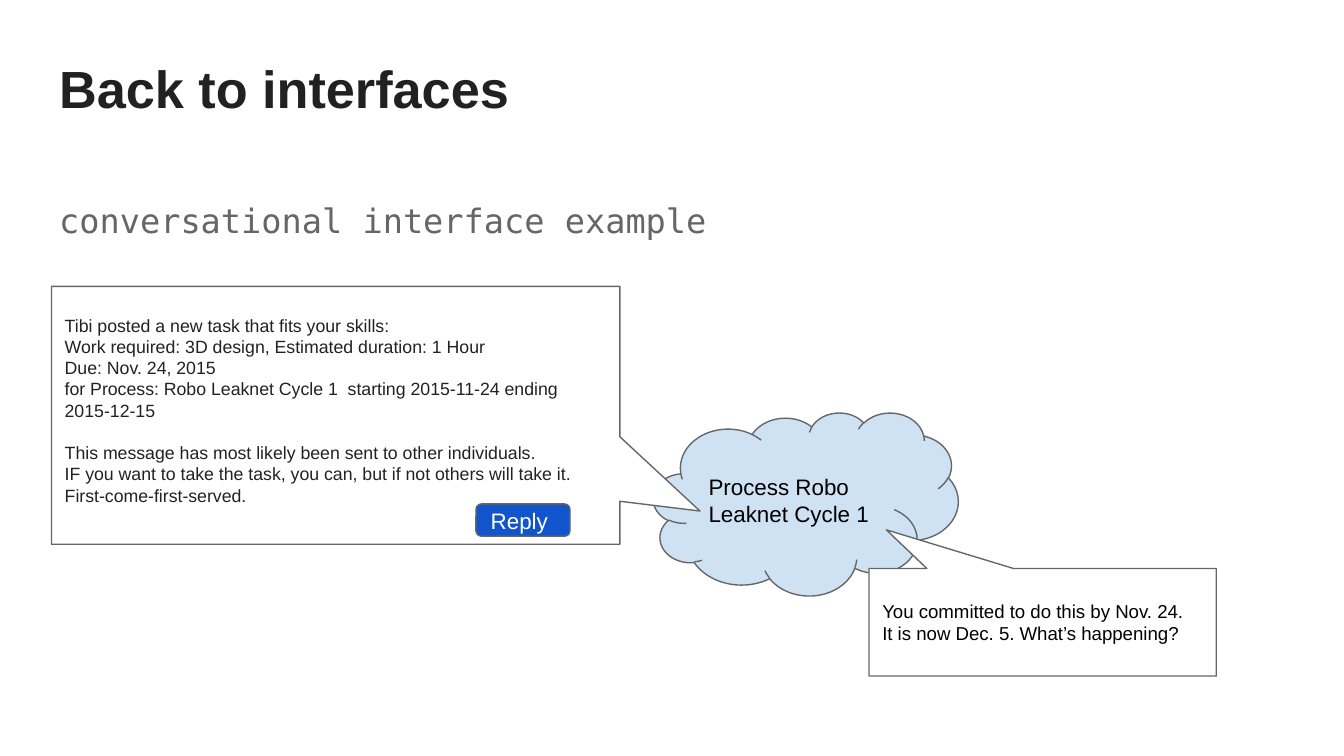
from pptx import Presentation
from pptx.dml.color import RGBColor
from pptx.enum.shapes import MSO_SHAPE
from pptx.enum.text import MSO_ANCHOR, MSO_AUTO_SIZE, PP_ALIGN
from pptx.oxml.ns import qn
from pptx.util import Pt

WHITE = RGBColor(0xFF, 0xFF, 0xFF)
BLACK = RGBColor(0x00, 0x00, 0x00)
TITLE_INK = RGBColor(0x21, 0x21, 0x21)
MESSAGE_INK = RGBColor(0x22, 0x22, 0x22)
GRAY = RGBColor(0x66, 0x66, 0x66)
CLOUD_BLUE = RGBColor(0xCF, 0xE2, 0xF3)
BUTTON_BLUE = RGBColor(0x11, 0x55, 0xCC)

INSET = 7.2
FRAME = {
    "word_wrap": True,
    "auto_size": MSO_AUTO_SIZE.NONE,
    "margin_left": Pt(INSET),
    "margin_right": Pt(INSET),
    "margin_top": Pt(INSET),
    "margin_bottom": Pt(INSET),
}
PARAGRAPH = {"alignment": PP_ALIGN.LEFT, "space_before": Pt(0), "space_after": Pt(0)}

TASK_LINES = [
    "Tibi posted a new task that fits your skills:",
    "Work required: 3D design, Estimated duration: 1 Hour",
    "Due: Nov. 24, 2015",
    "for Process: Robo Leaknet Cycle 1  starting 2015-11-24 ending 2015-12-15",
    "This message has most likely been sent to other individuals.",
    "IF you want to take the task, you can, but if not others will take it.",
    "First-come-first-served.",
]
SECOND_PART = 4
REMINDER_LINES = [
    "You committed to do this by Nov. 24.",
    "It is now Dec. 5. What’s happening?",
]


def apply_format(target, values):
    for name, value in values.items():
        setattr(target, name, value)


def write_lines(box, lines, size, color, anchor, font="Arial", bold=False):
    frame = box.text_frame
    apply_format(frame, {**FRAME, "vertical_anchor": anchor})
    for index, line in enumerate(lines):
        para = frame.paragraphs[0] if index == 0 else frame.add_paragraph()
        apply_format(para, PARAGRAPH)
        span = para.add_run()
        span.text = line
        apply_format(span.font, {"name": font, "size": Pt(size), "bold": bold})
        span.font.color.rgb = color
    return frame


def place(box, left, top, width, height):
    apply_format(box, {"left": Pt(left), "top": Pt(top),
                       "width": Pt(width), "height": Pt(height)})


def fill_placeholder(box, bounds, text, size, color, **font):
    place(box, *bounds)
    para = write_lines(box, [text], size, color, MSO_ANCHOR.TOP, **font).paragraphs[0]
    return para


def remove_bullet(para):
    properties = para._p.get_or_add_pPr()
    properties.set("marL", "0")
    properties.set("indent", "0")
    properties.append(properties.makeelement(qn("a:buNone"), {}))


def add_box(page, kind, bounds, fill, lines, size, color,
            adjustments=(), anchor=MSO_ANCHOR.MIDDLE):
    box = page.shapes.add_shape(kind, *(Pt(length) for length in bounds))
    box.shadow.inherit = False
    box.fill.solid()
    box.fill.fore_color.rgb = fill
    box.line.color.rgb = GRAY
    box.line.width = Pt(0.75)
    for index, value in enumerate(adjustments):
        box.adjustments[index] = value
    return write_lines(box, lines, size, color, anchor)


def main():
    deck = Presentation()
    apply_format(deck, {"slide_width": Pt(720), "slide_height": Pt(405)})
    page = deck.slides.add_slide(deck.slide_layouts[1])

    fill_placeholder(page.shapes.title, (24.5, 23, 671, 63.4),
                     "Back to interfaces", 28, TITLE_INK, bold=True)
    subtitle = fill_placeholder(page.placeholders[1], (24.5, 96.5, 671, 262.8),
                                "conversational interface example", 18, GRAY,
                                font="DejaVu Sans Mono")
    remove_bullet(subtitle)
    subtitle.line_spacing = 1.15

    add_box(page, MSO_SHAPE.CLOUD, (350, 221, 163.4, 98), CLOUD_BLUE,
            ["Process Robo Leaknet Cycle 1"], 12, BLACK)
    task = add_box(page, MSO_SHAPE.ROUNDED_RECTANGULAR_CALLOUT,
                   (27.6, 153.4, 304.5, 138.2), WHITE, TASK_LINES, 9.5, MESSAGE_INK,
                   (0.641, 0.371, 0), MSO_ANCHOR.TOP)
    task.margin_top = Pt(15)
    task.paragraphs[SECOND_PART].space_before = Pt(11.4)
    add_box(page, MSO_SHAPE.ROUNDED_RECTANGULAR_CALLOUT,
            (465.6, 304.6, 186, 57.6), WHITE, REMINDER_LINES, 10, BLACK,
            (-0.45, -0.86, 0))
    add_box(page, MSO_SHAPE.ROUNDED_RECTANGLE, (255, 270, 50.4, 17.3), BUTTON_BLUE,
            ["Reply"], 12, WHITE, (0.167,))

    deck.save("out.pptx")


if __name__ == "__main__":
    main()
